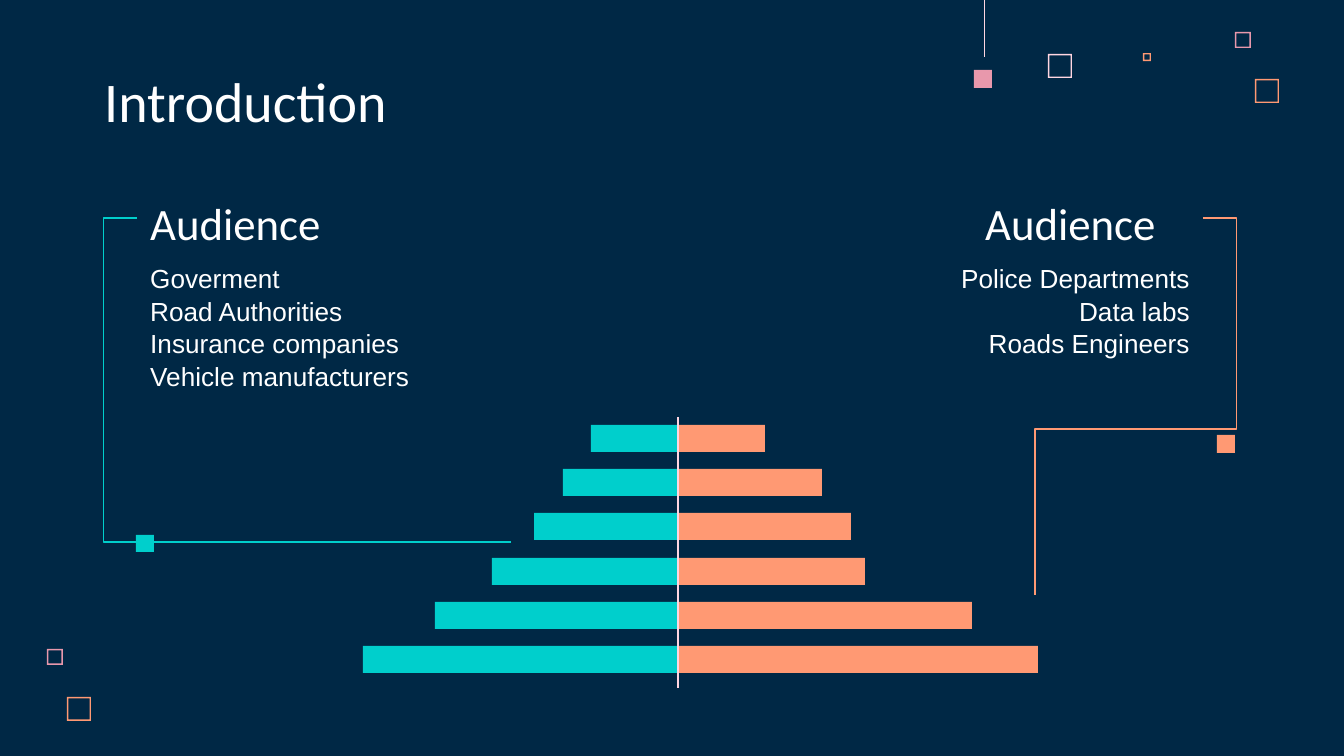
from lxml import etree
from pptx import Presentation
from pptx import util as u
from pptx.dml.color import RGBColor
from pptx.enum import shapes, text
from pptx.oxml.ns import qn

PX = 914400 / 134.4
NAVY = RGBColor(0x00, 0x28, 0x45)
WHITE = RGBColor(0xFF, 0xFF, 0xFF)
BLUSH = RGBColor(0xFF, 0xD6, 0xE1)
PINK = RGBColor(0xE8, 0x98, 0xAC)
CORAL = RGBColor(0xFF, 0x99, 0x73)
TEAL = RGBColor(0x00, 0xCF, 0xCC)

FRAMES = [
    (1048, 54, 24, BLUSH),
    (1235, 32, 16, PINK),
    (1143, 53, 8, CORAL),
    (1255, 79, 24, CORAL),
    (47, 649, 16, PINK),
    (67, 697, 24, CORAL),
]
AXIS_X = 678
BAR_TOP, BAR_STEP, BAR_HEIGHT = 425, 44.2, 27
BAR_WIDTHS = [(87, 87), (115, 144), (144, 173), (186, 187), (243, 294), (315, 360)]


def emu(px):
    """Turn px into EMU."""
    return u.Emu(round(px * PX))


def add_block(slide, left, top, width, height, color, preset=shapes.MSO_SHAPE.RECTANGLE):
    """Add a filled shape without outline or shadow."""
    block = slide.shapes.add_shape(preset, *map(emu, (left, top, width, height)))
    block.shadow.inherit = False
    block.fill.solid()
    block.fill.fore_color.rgb = color
    block.line.fill.background()
    return block


def add_frame(slide, left, top, side, color):
    """Add a hollow square with a thin rim."""
    frame = add_block(slide, left, top, side, side, color, shapes.MSO_SHAPE.FRAME)
    frame.adjustments[0] = 1.4 / side


def add_line(slide, start, end, color, kind=shapes.MSO_CONNECTOR.STRAIGHT, width=0.75):
    """Add a connector without shadow."""
    line = slide.shapes.add_connector(kind, *map(emu, (*start, *end)))
    line.line.color.rgb = color
    line.line.width = u.Pt(width)
    etree.SubElement(line._element.spPr, qn("a:effectLst"))
    return line


def add_bracket(slide, start, end, color, preset, bends):
    """Add an elbow connector with its bends given as shares of its size."""
    bracket = add_line(slide, start, end, color, shapes.MSO_CONNECTOR.ELBOW)
    geometry = bracket._element.spPr.find(qn("a:prstGeom"))
    geometry.set("prst", preset)
    guides = geometry.find(qn("a:avLst"))
    for number, share in enumerate(bends, 1):
        etree.SubElement(guides, qn("a:gd"), name=f"adj{number}",
                         fmla=f"val {round(share * 100000)}")


def add_text(slide, words, box, *, size, font, anchor=text.MSO_ANCHOR.TOP,
             align=text.PP_ALIGN.LEFT, spacing=1.0):
    """Add white text, one paragraph a line."""
    frame = slide.shapes.add_textbox(*map(emu, box)).text_frame
    frame.word_wrap = True
    frame.vertical_anchor = anchor
    frame.margin_left = frame.margin_right = u.Inches(0.1)
    frame.margin_top = frame.margin_bottom = u.Inches(0.1)
    frame.text = words
    for paragraph in frame.paragraphs:
        paragraph.alignment = align
        paragraph.line_spacing = spacing
        paragraph.font.size = u.Pt(size)
        paragraph.font.name = font
        paragraph.font.color.rgb = WHITE


def add_heading(slide, words, box, size):
    """Add a heading that stands on the bottom of its box."""
    add_text(slide, words, box, size=size, font="Calibri", anchor=text.MSO_ANCHOR.BOTTOM)


def add_audience(slide, names, box, align):
    """Add a list of audience groups."""
    add_text(slide, "\n".join(names), box, size=14, font="Arial", align=align, spacing=1.04)


def add_pyramid(slide):
    """Add the mirrored bars and their axis."""
    for row, (teal_width, coral_width) in enumerate(BAR_WIDTHS):
        top = round(BAR_TOP + row * BAR_STEP)
        add_block(slide, AXIS_X, top, coral_width, BAR_HEIGHT, CORAL)
        add_block(slide, AXIS_X - teal_width, top, teal_width, BAR_HEIGHT, TEAL)
    add_line(slide, (AXIS_X, 417), (AXIS_X, 688), BLUSH)


def main():
    """Build the introduction slide."""
    deck = Presentation()
    deck.slide_width, deck.slide_height = emu(1344), emu(756)
    slide = deck.slides.add_slide(deck.slide_layouts[6])
    slide.background.fill.solid()
    slide.background.fill.fore_color.rgb = NAVY

    for frame in FRAMES:
        add_frame(slide, *frame)
    add_block(slide, 974, 70, 18, 18, PINK)
    add_line(slide, (984, 0), (984, 57), BLUSH, width=0.5)

    add_heading(slide, "Introduction", (91, 62, 905, 85), 30)
    add_heading(slide, "Audience", (137, 178, 239, 85), 24)
    add_audience(slide, ["Goverment", "Road Authorities", "Insurance companies",
                         "Vehicle manufacturers"], (137, 248, 386, 164), text.PP_ALIGN.LEFT)
    add_heading(slide, "Audience", (972, 178, 231, 85), 24)
    add_audience(slide, ["Police Departments", "Data labs", "Roads Engineers"],
                 (801, 248, 402, 164), text.PP_ALIGN.RIGHT)

    add_pyramid(slide)
    add_bracket(slide, (137, 218), (511, 542), TEAL, "bentConnector3", [-0.09])
    add_bracket(slide, (1203, 218), (1035, 595), CORAL, "bentConnector4", [-0.2, 0.56])
    add_block(slide, 136, 535, 18, 17, TEAL)
    add_block(slide, 1217, 435, 18, 18, CORAL)
    deck.save("out.pptx")


if __name__ == "__main__":
    main()
